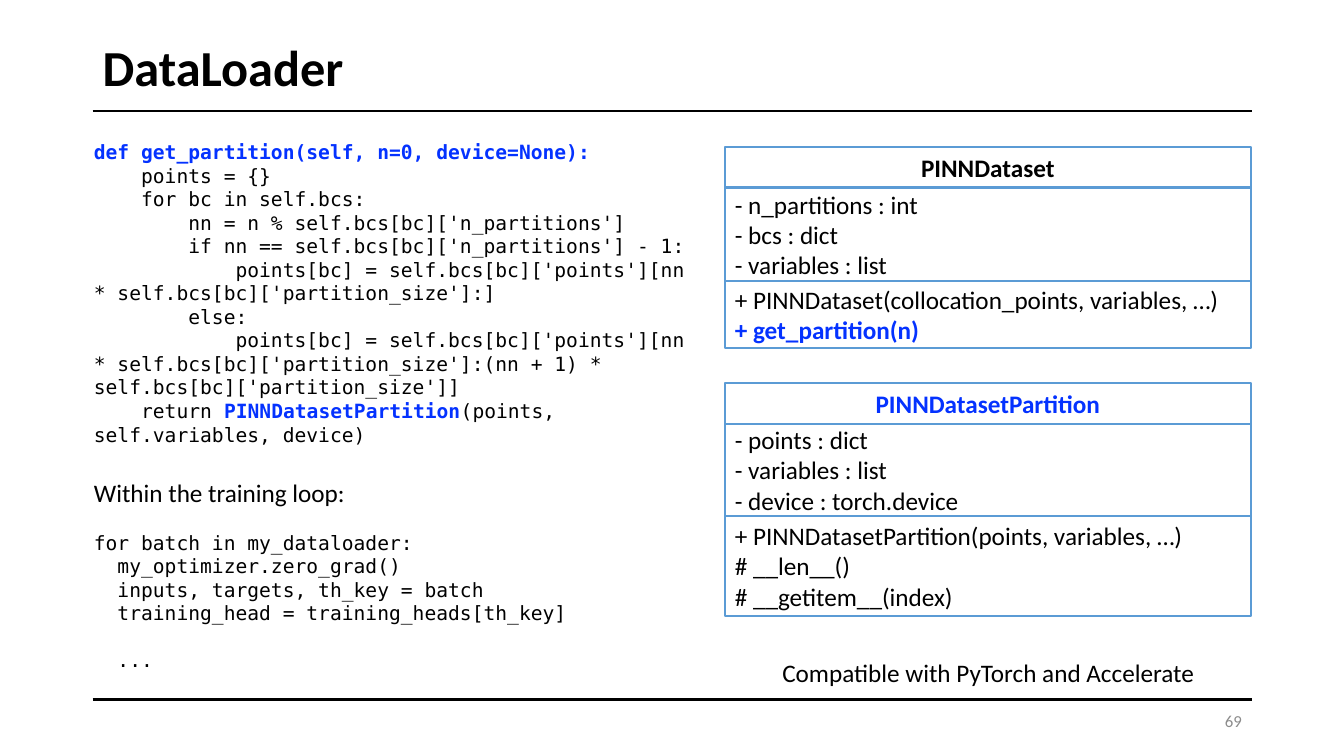
from dataclasses import dataclass

from lxml import etree
from pptx import Presentation
from pptx.dml.color import RGBColor
from pptx.enum.shapes import MSO_CONNECTOR, MSO_SHAPE
from pptx.enum.text import MSO_ANCHOR, PP_ALIGN
from pptx.oxml.ns import qn
from pptx.util import Pt

STRAIGHT = MSO_CONNECTOR.STRAIGHT
RECTANGLE = MSO_SHAPE.RECTANGLE
TOP, MIDDLE = MSO_ANCHOR.TOP, MSO_ANCHOR.MIDDLE
LEFT, CENTER, RIGHT = PP_ALIGN.LEFT, PP_ALIGN.CENTER, PP_ALIGN.RIGHT

SANS, MONO = "Calibri", "DejaVu Sans Mono"
COLORS = {
    "text": "000000",
    "accent": "0432FF",
    "border": "5B9BD5",
    "fill": "FFFFFF",
    "number": "8C8C8C",
}
RULE_LEFT, RULE_RIGHT = 66.24, 894.24
CLASS_LEFT, CLASS_WIDTH = 517.8, 375.7
NAME_HEIGHT = 28.9
CODE_LINE = 16.3


@dataclass
class Line:
    """One paragraph; the part given as accent is set bold and blue."""
    text: str
    accent: str = ""
    size: float = 18
    font: str = SANS
    bold: bool = False
    color: str = "text"
    align: PP_ALIGN = LEFT
    before: float = 0
    spacing: float = 1.0


@dataclass
class ClassBox:
    name: Line
    top: float
    fields: list[str]
    fields_height: float
    methods: list[Line]
    methods_height: float


def code(text: str, accent: str = "", before: float = 0) -> Line:
    return Line(text, accent, size=14, font=MONO, before=before)


def rgb(name: str) -> RGBColor:
    return RGBColor.from_string(COLORS[name])


def write(tf, lines: list[Line], anchor: MSO_ANCHOR) -> None:
    tf.word_wrap = True
    tf.vertical_anchor = anchor
    for i, line in enumerate(lines):
        p = tf.add_paragraph() if i else tf.paragraphs[0]
        p.alignment = line.align
        p.line_spacing = line.spacing
        if line.before:
            p.space_before = Pt(line.before)
        parts = line.text.partition(line.accent) if line.accent else (line.text,)
        for part in filter(None, parts):
            marked = part == line.accent
            r = p.add_run()
            r.text = part
            r.font.name = line.font
            r.font.size = Pt(line.size)
            r.font.bold = line.bold or marked
            r.font.color.rgb = rgb("accent" if marked else line.color)


def add_text(slide, left: float, top: float, width: float, height: float,
             lines: list[Line], anchor: MSO_ANCHOR = TOP) -> None:
    sp = slide.shapes.add_textbox(Pt(left), Pt(top), Pt(width), Pt(height))
    write(sp.text_frame, lines, anchor)


def add_rule(slide, y: float) -> None:
    line = slide.shapes.add_connector(STRAIGHT, Pt(RULE_LEFT), Pt(y), Pt(RULE_RIGHT), Pt(y))
    line.line.color.rgb = rgb("text")
    line.line.width = Pt(1.5)
    etree.SubElement(line._element.spPr, qn("a:effectLst"))


def add_compartment(slide, top: float, height: float, lines: list[Line]) -> None:
    sp = slide.shapes.add_shape(RECTANGLE, Pt(CLASS_LEFT), Pt(top), Pt(CLASS_WIDTH), Pt(height))
    sp.shadow.inherit = False
    sp.fill.solid()
    sp.fill.fore_color.rgb = rgb("fill")
    sp.line.color.rgb = rgb("border")
    sp.line.width = Pt(1.5)
    write(sp.text_frame, lines, MIDDLE)


def add_class(slide, box: ClassBox) -> None:
    fields_top = box.top + NAME_HEIGHT
    methods_top = fields_top + box.fields_height
    add_compartment(slide, fields_top, box.fields_height, [Line(f) for f in box.fields])
    add_compartment(slide, box.top, NAME_HEIGHT, [box.name])
    add_compartment(slide, methods_top, box.methods_height, box.methods)


PARTITION_CODE = [
    code("def get_partition(self, n=0, device=None):",
         accent="def get_partition(self, n=0, device=None):"),
    code("    points = {}"),
    code("    for bc in self.bcs:"),
    code("        nn = n % self.bcs[bc]['n_partitions']"),
    code("        if nn == self.bcs[bc]['n_partitions'] - 1:"),
    code("            points[bc] = self.bcs[bc]['points'][nn * self.bcs[bc]['partition_size']:]"),
    code("        else:"),
    code("            points[bc] = self.bcs[bc]['points'][nn * self.bcs[bc]['partition_size']:"
         "(nn + 1) * self.bcs[bc]['partition_size']]"),
    code("    return PINNDatasetPartition(points, self.variables, device)",
         accent="PINNDatasetPartition"),
]
LOOP_CODE = [
    Line("Within the training loop:"),
    code("for batch in my_dataloader:", before=CODE_LINE),
    code("  my_optimizer.zero_grad()"),
    code("  inputs, targets, th_key = batch"),
    code("  training_head = training_heads[th_key]"),
    code("  ...", before=CODE_LINE),
]
CLASSES = [
    ClassBox(Line("PINNDataset", bold=True, align=CENTER), 105.1,
             ["- n_partitions : int", "- bcs : dict", "- variables : list"], 66.8,
             [Line("+ PINNDataset(collocation_points, variables, …)"),
              Line("+ get_partition(n)", accent="+ get_partition(n)")], 47.5),
    ClassBox(Line("PINNDatasetPartition", bold=True, color="accent", align=CENTER), 273.8,
             ["- points : dict", "- variables : list", "- device : torch.device"], 65.8,
             [Line("+ PINNDatasetPartition(points, variables, …)"),
              Line("# __len__()"), Line("# __getitem__(index)")], 71.4),
]


def main() -> None:
    prs = Presentation()
    prs.slide_width, prs.slide_height = Pt(960), Pt(540)
    slide = prs.slides.add_slide(prs.slide_layouts[6])

    for y in (499.68, 79.2):
        add_rule(slide, y)
    add_text(slide, 822.24, 504, 72, 21.6,
             [Line("69", size=12, color="number", align=RIGHT)])
    add_text(slide, RULE_LEFT, 20.9, 828, 58.3,
             [Line("DataLoader", size=36, bold=True, spacing=0.9)], MIDDLE)
    add_text(slide, 518.4, 465.8, 375.1, 29,
             [Line("Compatible with PyTorch and Accelerate", align=CENTER)])
    for box in CLASSES:
        add_class(slide, box)
    add_text(slide, 60, 96.5, 437, 227.5, PARTITION_CODE)
    add_text(slide, 60, 337.7, 391.7, 147.6, LOOP_CODE)

    prs.save("out.pptx")


if __name__ == "__main__":
    main()
